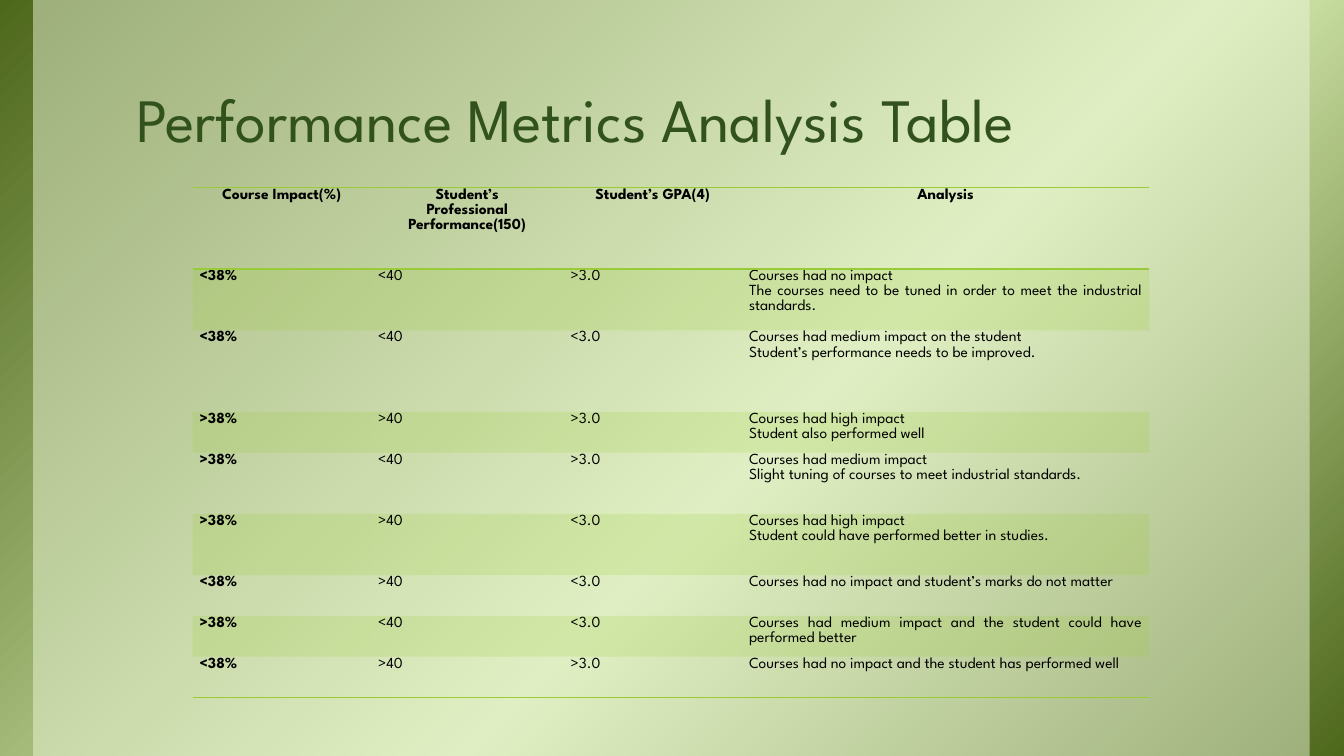
"""Build the performance metrics analysis table slide."""
from dataclasses import dataclass

from lxml.etree import SubElement
from pptx import Presentation
from pptx.dml.color import RGBColor
from pptx.enum.shapes import MSO_SHAPE
from pptx.enum.text import MSO_ANCHOR, MSO_AUTO_SIZE, PP_ALIGN
from pptx.oxml import parse_xml
from pptx.oxml.ns import nsdecls, qn
from pptx.util import Inches, Pt

TITLE = "Performance Metrics Analysis Table"
HEADER = ("Course Impact(%)", "Student’s\nProfessional Performance(150)", "Student’s GPA(4)", "Analysis")
ROWS = [
    ("<38%", "<40", ">3.0", "Courses had no impact\n"
     "The courses need to be tuned in order to meet the industrial standards."),
    ("<38%", "<40", "<3.0", "Courses had medium impact on the student\n"
     "Student’s performance needs to be improved."),
    (">38%", ">40", ">3.0", "Courses had high impact\nStudent also performed well"),
    (">38%", "<40", ">3.0", "Courses had medium impact\n"
     "Slight tuning of courses to meet industrial standards."),
    (">38%", ">40", "<3.0", "Courses had high impact\n"
     "Student could have performed better in studies."),
    ("<38%", ">40", "<3.0", "Courses had no impact and student’s marks do not matter"),
    (">38%", "<40", "<3.0", "Courses had medium impact and the student could have performed better"),
    ("<38%", ">40", ">3.0", "Courses had no impact and the student has performed well"),
]
COLUMN_WIDTHS = (1.77, 1.91, 1.77, 4.04)
ROW_LINES = (4, 3, 4, 2, 3, 3, 2, 2, 2)
TABLE_LEFT, TABLE_TOP, TABLE_HEIGHT = 1.91, 1.86, 5.06
SLIDE_WIDTH, SLIDE_HEIGHT = 13.33, 7.5
PANEL_LEFT, PANEL_WIDTH = 0.33, 12.66
NO_GRID_STYLE = "{2D5ABB26-0587-4C30-8999-92F81FD0307C}"


@dataclass(frozen=True)
class Theme:
    font: str = "League Spartan"
    title: str = "31521C"
    text: str = "000000"
    accent: str = "99CB38"
    panel: str = "EBF5D7"
    backdrop: tuple = ((0, "4D671B"), (58, "D6EAAF"), (100, "4D671B"))
    title_size: int = 44
    cell_size: int = 11
    band_alpha: int = 20
    panel_alpha: int = 50


THEME = Theme()


def apply(target, values):
    for name, value in values.items():
        setattr(target, name, value)


def write(frame, text, font, paragraph):
    frame.text = text
    for para in frame.paragraphs:
        apply(para, paragraph)
        for span in para.runs:
            span.font.color.rgb = RGBColor.from_string(THEME.text)
            apply(span.font, {"name": THEME.font, **font})


def fill_solid(item, element, color, alpha):
    item.fill.solid()
    item.fill.fore_color.rgb = RGBColor.from_string(color)
    tint = next(element.iter(qn("a:srgbClr")))
    SubElement(tint, qn("a:alpha")).set("val", str(alpha * 1000))


def add_rectangle(page, left, width):
    box = page.shapes.add_shape(MSO_SHAPE.RECTANGLE, Inches(left), 0, Inches(width), Inches(SLIDE_HEIGHT))
    box.shadow.inherit = False
    box.line.fill.background()
    page.shapes.title.element.addprevious(box.element)
    return box


def add_backdrop(page):
    box = add_rectangle(page, 0, SLIDE_WIDTH)
    stops = "".join(f'<a:gs pos="{share * 1000}"><a:srgbClr val="{color}"/></a:gs>'
                    for share, color in THEME.backdrop)
    gradient = parse_xml(f'<a:gradFill {nsdecls("a")} rotWithShape="1"><a:gsLst>{stops}</a:gsLst>'
                         '<a:lin ang="2700000" scaled="0"/></a:gradFill>')
    box.element.spPr.find(qn("a:prstGeom")).addnext(gradient)
    panel = add_rectangle(page, PANEL_LEFT, PANEL_WIDTH)
    fill_solid(panel, panel.element.spPr, THEME.panel, THEME.panel_alpha)


def add_title(page):
    box = page.shapes.title
    apply(box, {"left": Inches(1.22), "top": Inches(0.08), "width": Inches(11.11), "height": Inches(1.53)})
    write(box.text_frame, TITLE, {"size": Pt(THEME.title_size)},
          {"alignment": PP_ALIGN.LEFT, "line_spacing": 0.85})
    box.text_frame.paragraphs[0].runs[0].font.color.rgb = RGBColor.from_string(THEME.title)
    apply(box.text_frame, {
        "vertical_anchor": MSO_ANCHOR.BOTTOM, "auto_size": MSO_AUTO_SIZE.NONE, "word_wrap": True,
        "margin_left": Inches(0.13), "margin_right": Inches(0.13),
        "margin_top": Inches(0.07), "margin_bottom": Inches(0.07)})


def add_borders(properties, sides):
    for position, side in enumerate(sides):
        line = parse_xml(f'<a:ln{side} {nsdecls("a")} w="{Pt(1)}"><a:solidFill>'
                         f'<a:srgbClr val="{THEME.accent}"/></a:solidFill></a:ln{side}>')
        properties.insert(position, line)


def format_cell(cell, text, row, column, last_row):
    apply(cell, {"margin_left": Inches(0.07), "margin_right": Inches(0.07),
                 "margin_top": 0, "margin_bottom": 0, "vertical_anchor": MSO_ANCHOR.TOP})
    write(cell.text_frame, text,
          {"size": Pt(THEME.cell_size), "bold": row == 0 or column == 0},
          {"alignment": PP_ALIGN.JUSTIFY if row else PP_ALIGN.CENTER, "line_spacing": 1.07})
    properties = cell._tc.get_or_add_tcPr()
    if row % 2:
        fill_solid(cell, properties, THEME.accent, THEME.band_alpha)
    else:
        cell.fill.background()
    add_borders(properties, {0: "TB", last_row: "B"}.get(row, ""))


def add_metrics(page):
    content = [HEADER, *ROWS]
    frame = page.shapes.add_table(len(content), len(HEADER), Inches(TABLE_LEFT), Inches(TABLE_TOP),
                                  Inches(sum(COLUMN_WIDTHS)), Inches(TABLE_HEIGHT))
    next(frame.element.iter(qn("a:tableStyleId"))).text = NO_GRID_STYLE
    table = frame.table
    for column, width in zip(table.columns, COLUMN_WIDTHS):
        column.width = Inches(width)
    for row, lines in zip(table.rows, ROW_LINES):
        row.height = Inches(TABLE_HEIGHT * lines / sum(ROW_LINES))
    for row, texts in enumerate(content):
        for column, text in enumerate(texts):
            format_cell(table.cell(row, column), text, row, column, len(ROWS))


def main():
    deck = Presentation()
    apply(deck, {"slide_width": Inches(SLIDE_WIDTH), "slide_height": Inches(SLIDE_HEIGHT)})
    page = deck.slides.add_slide(deck.slide_layouts.get_by_name("Title Only"))
    add_backdrop(page)
    add_title(page)
    add_metrics(page)
    deck.save("out.pptx")


if __name__ == "__main__":
    main()
